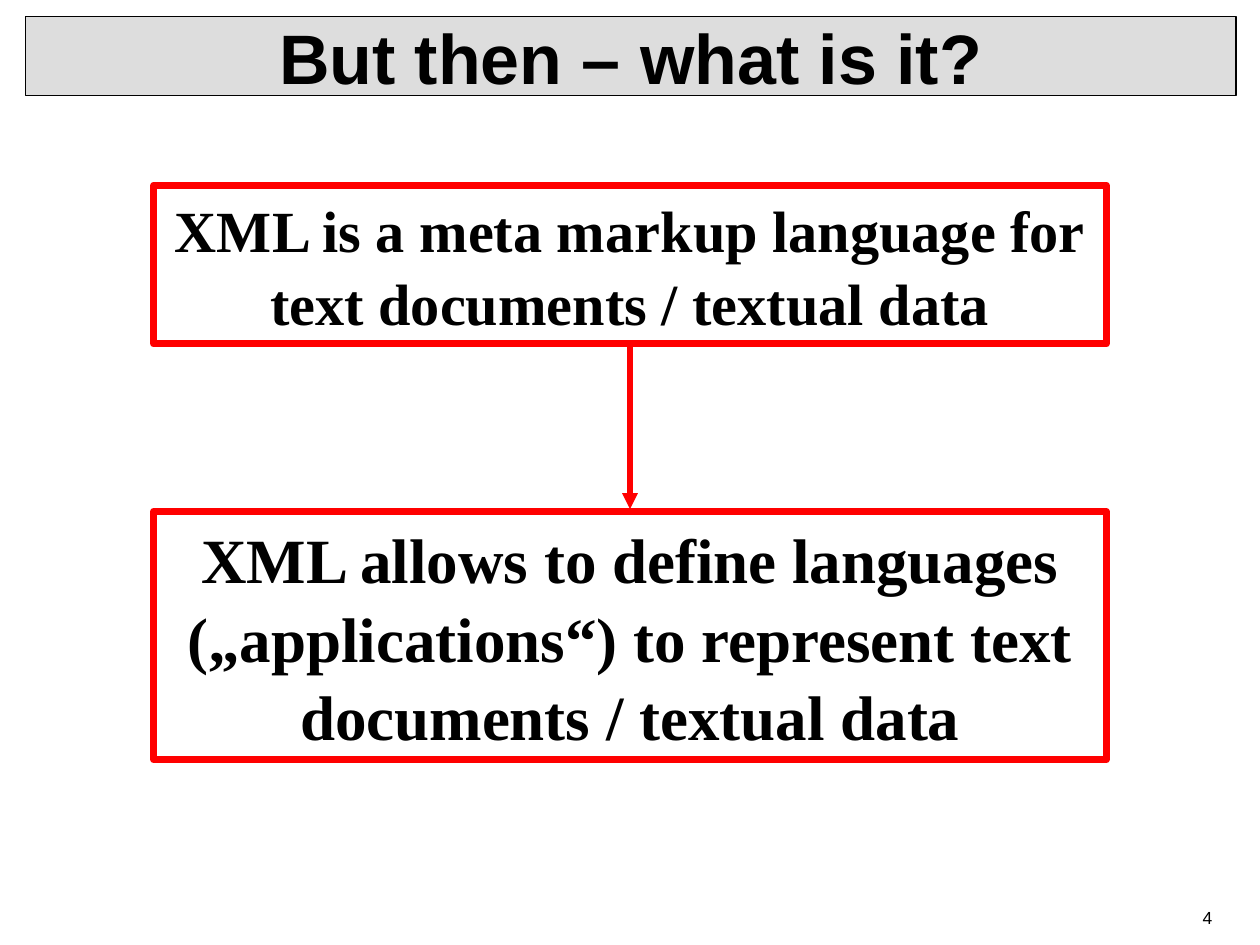
from lxml import etree
from pptx import Presentation
from pptx import util as u
from pptx.dml.color import RGBColor
from pptx.enum import shapes, text
from pptx.oxml.ns import qn

BLACK = RGBColor(0, 0, 0)
WHITE = RGBColor(255, 255, 255)
GRAY = RGBColor(0xDD, 0xDD, 0xDD)
RED = RGBColor(255, 0, 0)

BOX_LEFT, BOX_WIDTH = 1.22, 7.56
HEADING = {"name": "Arial", "size": u.Pt(40), "bold": True}
STATEMENT = {"name": "Times New Roman", "size": u.Pt(33.3), "bold": True}
NUMBER = {"name": "Arial", "size": u.Pt(10), "bold": False}


class SlideBuilder:
    def __init__(self, prs):
        self.s = prs.slides.add_slide(prs.slide_layouts[1])
        self.s.background.fill.solid()
        self.s.background.fill.fore_color.rgb = WHITE

    def place(self, sp, at):
        for name, value in zip(("left", "top", "width", "height"), at):
            setattr(sp, name, u.Inches(value))

    def frame(self, sp, fill, line, width):
        sp.fill.solid()
        sp.fill.fore_color.rgb = fill
        sp.line.color.rgb = line
        sp.line.width = u.Pt(width)

    def fill_text(self, sp, words, style, align=text.PP_ALIGN.CENTER, spacing=1.0):
        tf = sp.text_frame
        layout = {
            "word_wrap": True, "auto_size": text.MSO_AUTO_SIZE.NONE,
            "vertical_anchor": text.MSO_ANCHOR.MIDDLE,
            "margin_left": u.Inches(0.1), "margin_right": u.Inches(0.1),
            "margin_top": u.Inches(0.05), "margin_bottom": u.Inches(0.05),
        }
        for name, value in layout.items():
            setattr(tf, name, value)
        p = tf.paragraphs[0]
        pPr = p._p.get_or_add_pPr()
        pPr.set("marL", "0")
        pPr.set("indent", "0")
        etree.SubElement(pPr, qn("a:buNone"))
        p.alignment = align
        p.line_spacing = spacing
        p.space_before = u.Pt(0)
        r = p.add_run()
        r.text = words
        for name, value in style.items():
            setattr(r.font, name, value)
        r.font.color.rgb = BLACK

    def title(self, words, at):
        sp = self.s.shapes.title
        self.place(sp, at)
        self.frame(sp, GRAY, BLACK, 0.75)
        self.fill_text(sp, words, HEADING)

    def statement(self, sp, words, top, height, style):
        self.place(sp, (BOX_LEFT, top, BOX_WIDTH, height))
        self.frame(sp, WHITE, RED, 4)
        self.fill_text(sp, words, style, spacing=1.04)

    def body(self, words, top, height):
        self.statement(self.s.placeholders[1], words, top, height, STATEMENT)

    def box(self, words, top, height):
        sp = self.s.shapes.add_shape(shapes.MSO_SHAPE.RECTANGLE, 0, 0, 0, 0)
        sp.shadow.inherit = False
        self.statement(sp, words, top, height, {**STATEMENT, "size": u.Pt(36)})

    def arrow(self, x, top, bottom):
        line = self.s.shapes.add_connector(
            shapes.MSO_CONNECTOR.STRAIGHT,
            u.Inches(x), u.Inches(top), u.Inches(x), u.Inches(bottom))
        line.line.color.rgb = RED
        line.line.width = u.Pt(3)
        spPr = line._element.spPr
        etree.SubElement(spPr.find(qn("a:ln")), qn("a:tailEnd"), type="triangle")
        etree.SubElement(spPr, qn("a:effectLst"))

    def page_number(self, number, at):
        sp = self.s.shapes.add_textbox(*map(u.Inches, at))
        self.fill_text(sp, number, NUMBER, text.PP_ALIGN.RIGHT)


def main():
    prs = Presentation()
    prs.slide_width, prs.slide_height = u.Inches(10), u.Inches(7.5)
    slide = SlideBuilder(prs)
    slide.title("But then – what is it?", (0.2, 0.13, 9.61, 0.63))
    slide.body("XML is a meta markup language for text documents / textual data",
               1.47, 1.26)
    slide.box("XML allows to define languages („applications“) to represent "
              "text documents / textual data", 4.06, 1.97)
    slide.arrow(5, 2.75, 4.04)
    slide.page_number("4", (7.64, 7.1, 2.08, 0.36))
    prs.save("out.pptx")


if __name__ == "__main__":
    main()
